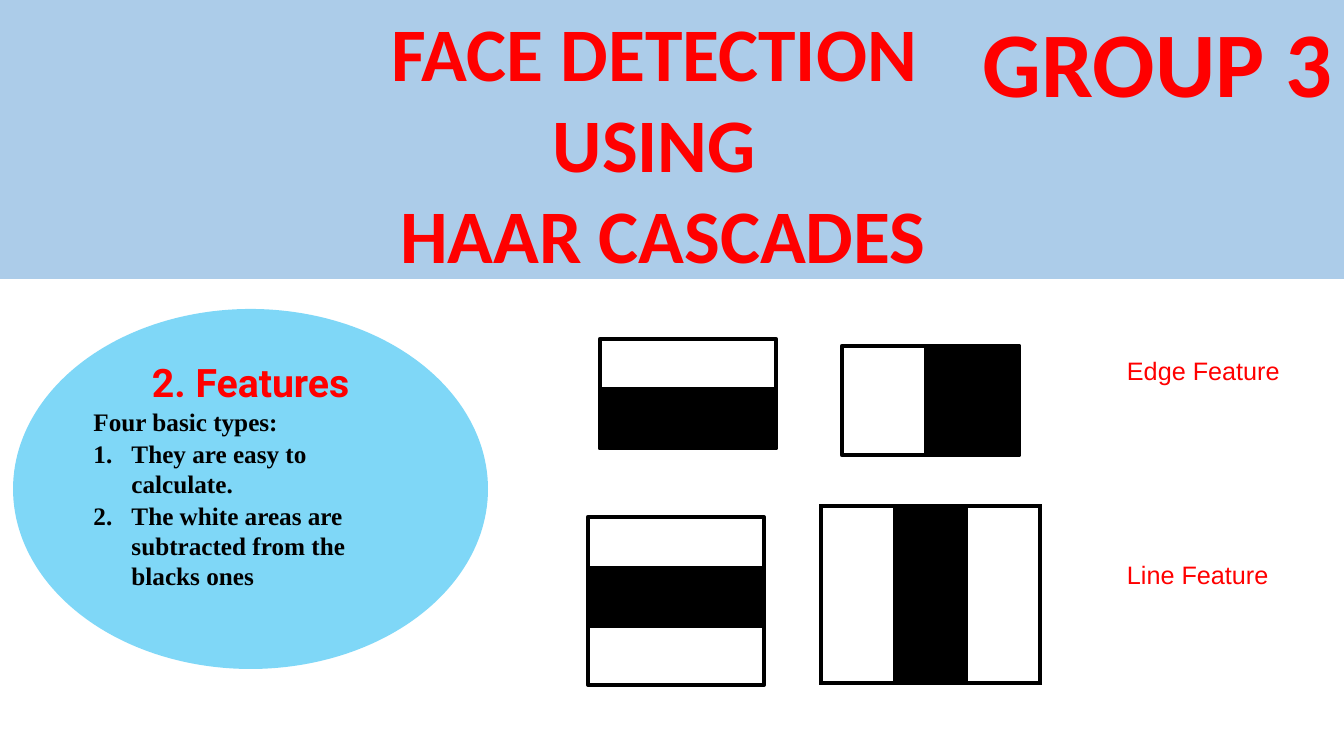
from lxml import etree
from pptx import Presentation
from pptx.dml.color import RGBColor
from pptx.enum.shapes import MSO_SHAPE
from pptx.enum.text import MSO_ANCHOR, PP_ALIGN
from pptx.oxml.ns import qn
from pptx.util import Pt

RECTANGLE, OVAL = MSO_SHAPE.RECTANGLE, MSO_SHAPE.OVAL
LEFT, CENTER = PP_ALIGN.LEFT, PP_ALIGN.CENTER
TOP, MIDDLE = MSO_ANCHOR.TOP, MSO_ANCHOR.MIDDLE

SCALE = 914400 / 100.8  # EMU per px
RED, BLACK = "FF0000", "000000"
LINE_WIDTH = 3

TITLE = ["FACE DETECTION ", "USING ", "HAAR CASCADES"]
TITLE_BOX = (348, 1, 630, 285)
GROUP = ["GROUP 3"]
GROUP_BOX = (971, 0, 373, 122)
BANNER = (RECTANGLE, (0, 0, 1344, 279), "5B9BD5")
BUBBLE = (OVAL, (13, 309, 475, 360), "00B0F0")
HEADING = "2. Features"
INTRO = "Four basic types:"
POINTS = [
    "They are easy to calculate.",
    "The white areas are subtracted from the blacks ones",
]
LABELS = [
    ("Edge Feature", (1116, 350, 203, 40)),
    ("Line Feature", (1116, 554, 163, 40)),
]
# frame box, then the dark band inside it
HAAR_FEATURES = [
    ((600, 339, 176, 109), (600, 389, 176, 59)),
    ((842, 346, 177, 109), (926, 346, 93, 109)),
    ((588, 517, 176, 168), (588, 568, 176, 58)),
]
STRIPES_BOX = (821, 506, 219, 177)
STRIPE_WIDTHS = [74, 71, 74]
DARK_STRIPE = 1


def px(value):
    return round(value * SCALE)


def emu(box):
    return [px(value) for value in box]


def color(hex_string):
    return RGBColor.from_string(hex_string)


def format_paragraph(paragraph, font, size, hex_string, bold=True, align=CENTER):
    paragraph.alignment = align
    paragraph.line_spacing = 1.0
    for run in paragraph.runs:
        run.font.name = font
        run.font.size = Pt(size)
        run.font.bold = bold
        run.font.color.rgb = color(hex_string)


def fill_text(shape, lines, *style, **options):
    frame = shape.text_frame
    frame.text = "\n".join(lines)
    frame.word_wrap = False
    frame.vertical_anchor = TOP
    for paragraph in frame.paragraphs:
        format_paragraph(paragraph, *style, **options)
    return frame


def add_plain_shape(kind, box, fill=None, line=None):
    shape = slide.shapes.add_shape(kind, *emu(box))
    shape.shadow.inherit = False
    if fill:
        shape.fill.solid()
        shape.fill.fore_color.rgb = color(fill)
    else:
        shape.fill.background()
    if line:
        shape.line.color.rgb = color(line)
        shape.line.width = Pt(LINE_WIDTH)
    else:
        shape.line.fill.background()
    return shape


def add_half_transparent(kind, box, fill):
    shape = add_plain_shape(kind, box, fill)
    solid = shape.fill._xPr.find(qn("a:solidFill"))
    etree.SubElement(solid[0], qn("a:alpha"), val="50000")
    return shape


def indent(paragraph, margin, hanging):
    properties = paragraph._p.get_or_add_pPr()
    properties.set("marL", str(px(margin)))
    properties.set("indent", str(px(-hanging)))
    return properties


def add_bubble():
    frame = add_half_transparent(*BUBBLE).text_frame
    frame.text = "\n".join([HEADING, INTRO] + POINTS)
    frame.word_wrap = True
    frame.vertical_anchor = MIDDLE
    frame.margin_bottom = px(34)
    heading, intro, *points = frame.paragraphs
    format_paragraph(heading, "Roboto", 28, RED)
    indent(intro, 1, 0)
    for paragraph in [intro] + points:
        format_paragraph(paragraph, "Times New Roman", 18, BLACK, align=LEFT)
        paragraph.space_before = Pt(1)
    for paragraph in points:
        properties = indent(paragraph, 39, 38)
        etree.SubElement(properties, qn("a:buFont"), typeface="+mj-lt")
        etree.SubElement(properties, qn("a:buAutoNum"), type="arabicPeriod")


def add_borders(cell):
    properties = cell._tc.get_or_add_tcPr()
    for position, side in enumerate(["lnL", "lnR", "lnT", "lnB"]):
        border = etree.Element(qn(f"a:{side}"), w=str(Pt(LINE_WIDTH)))
        solid = etree.SubElement(border, qn("a:solidFill"))
        etree.SubElement(solid, qn("a:srgbClr"), val=BLACK)
        properties.insert(position, border)


def add_stripes():
    table = slide.shapes.add_table(1, len(STRIPE_WIDTHS), *emu(STRIPES_BOX)).table
    table.first_row = table.horz_banding = False
    for index, width in enumerate(STRIPE_WIDTHS):
        table.columns[index].width = px(width)
        cell = table.cell(0, index)
        if index == DARK_STRIPE:
            cell.fill.solid()
            cell.fill.fore_color.rgb = color(BLACK)
        else:
            cell.fill.background()
        add_borders(cell)


presentation = Presentation()
presentation.slide_width, presentation.slide_height = px(1344), px(756)
slide = presentation.slides.add_slide(presentation.slide_layouts[5])

title = slide.shapes.title
banner = add_half_transparent(*BANNER)
title._element.addprevious(banner._element)
title.left, title.top, title.width, title.height = emu(TITLE_BOX)
fill_text(title, TITLE, "Calibri", 54, RED)

group = slide.shapes.add_textbox(*emu(GROUP_BOX))
fill_text(group, GROUP, "Calibri", 66, RED)
add_bubble()

for frame_box, band_box in HAAR_FEATURES:
    add_plain_shape(RECTANGLE, frame_box, line=BLACK)
    add_plain_shape(RECTANGLE, band_box, BLACK, BLACK)
add_stripes()

for label, box in LABELS:
    text_box = slide.shapes.add_textbox(*emu(box))
    text_frame = fill_text(text_box, [label], "Arial", 18, RED, bold=False, align=LEFT)
    text_frame.word_wrap = True
    text_frame.margin_left = px(11)

presentation.save("out.pptx")
